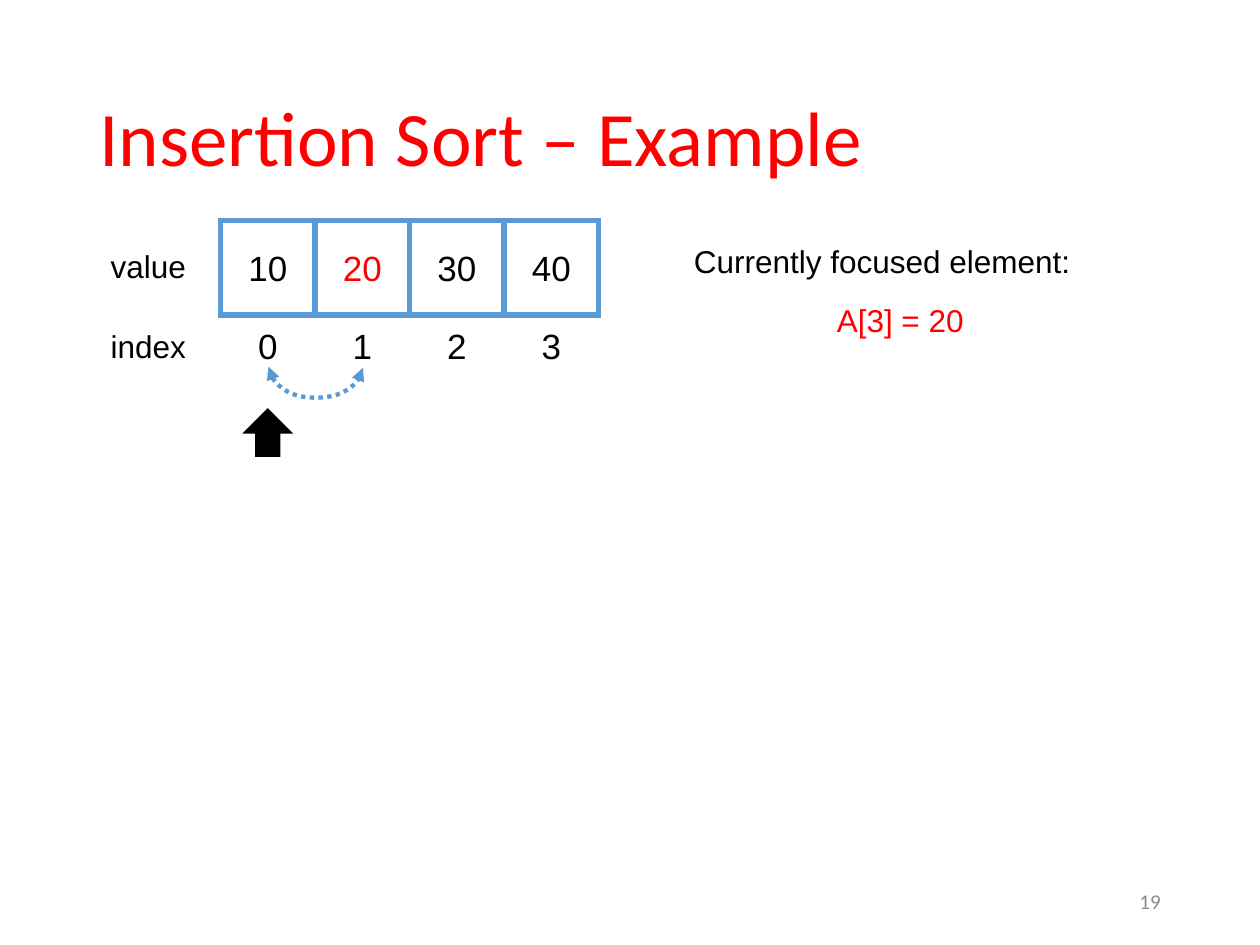
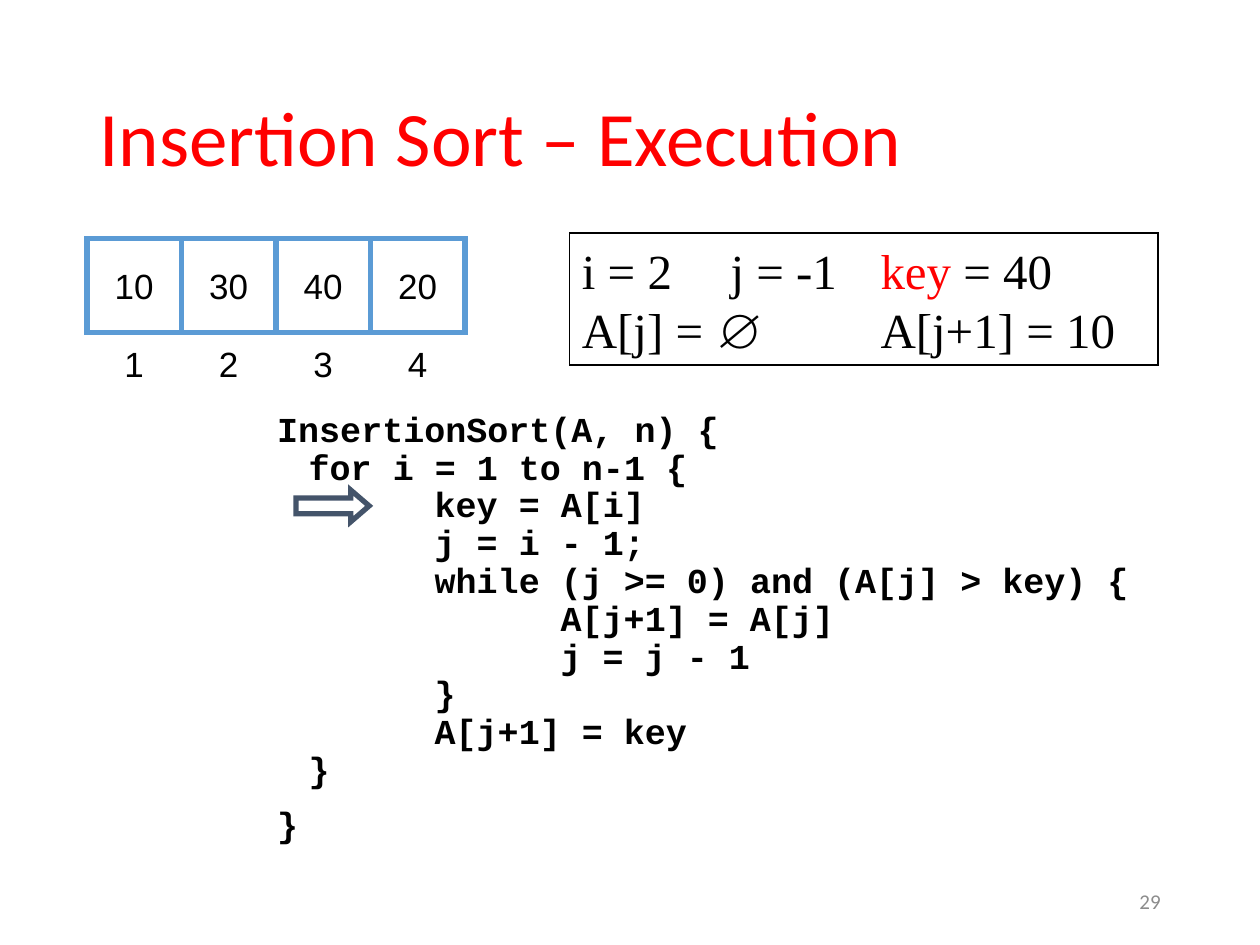
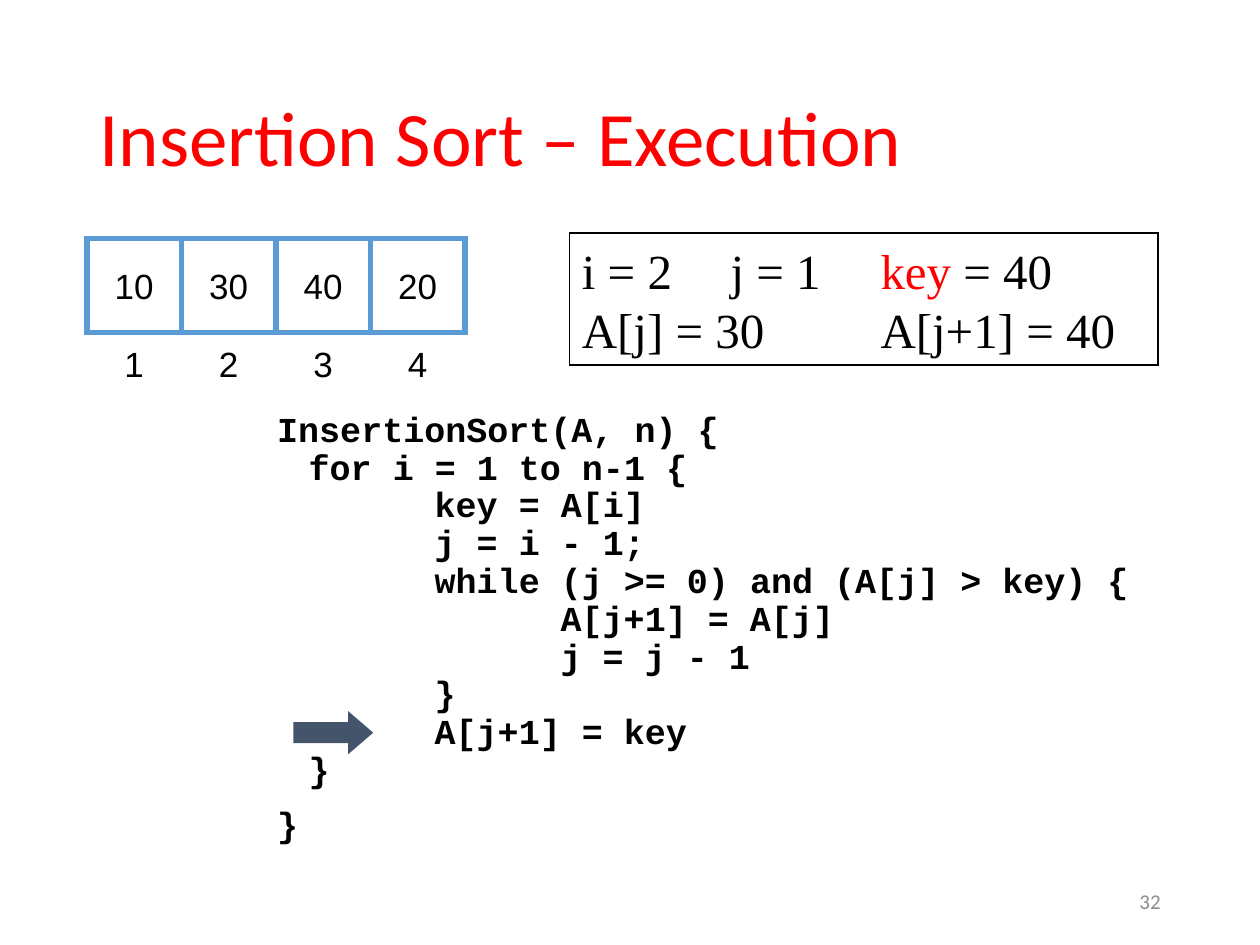
from lxml import etree
from pptx import Presentation
from pptx.dml.color import RGBColor
from pptx.enum.dml import MSO_LINE
from pptx.enum.shapes import MSO_CONNECTOR, MSO_SHAPE
from pptx.enum.text import MSO_ANCHOR, MSO_AUTO_SIZE, PP_ALIGN
from pptx.oxml.ns import qn
from pptx.util import Inches, Pt

BLACK = RGBColor(0x00, 0x00, 0x00)
WHITE = RGBColor(0xFF, 0xFF, 0xFF)
RED = RGBColor(0xFF, 0x00, 0x00)
BLUE = RGBColor(0x5B, 0x9B, 0xD5)
SLATE = RGBColor(0x44, 0x54, 0x6A)
GRAY = RGBColor(0x8C, 0x8C, 0x8C)
LEFT, MID, RIGHT = PP_ALIGN.LEFT, PP_ALIGN.CENTER, PP_ALIGN.RIGHT
MIDDLE, TOP = MSO_ANCHOR.MIDDLE, MSO_ANCHOR.TOP
RECT, UP, POINTER = MSO_SHAPE.RECTANGLE, MSO_SHAPE.UP_ARROW, MSO_SHAPE.RIGHT_ARROW
CELL = 0.75
TAB = str(Inches(1))

EXAMPLE = {
    "title": "Insertion Sort – Example",
    "page": "19",
    "values": ["10", "20", "30", "40"],
    "focus": 1,
    "notes": [
        ("index", (0.78, 2.55, 0.81, 0.4), LEFT, BLACK, False),
        ("value", (0.78, 1.91, 0.81, 0.4), LEFT, BLACK, False),
        ("Currently focused element:", (5.41, 1.87, 3.24, 0.4), LEFT, BLACK, True),
        ("A[3] = 20", (6.1, 2.34, 2.09, 0.4), MID, RED, True),
    ],
}
VALUES = ["10", "30", "40", "20"]
RUNS = [
    {"page": "29", "state": ("i = 2\tj = -1\t", "key", " = 40\nA[j] = ∅\tA[j+1] = 10"),
     "top": 3.89, "fill": None},
    {"page": "32", "state": ("i = 2\tj = 1\t", "key", " = 40\nA[j] = 30\tA[j+1] = 40"),
     "top": 5.69, "fill": SLATE},
]
CODE = [
    """InsertionSort(A, n) {
for i = 1 to n-1 {
\tkey = A[i]
\tj = i - 1;
\twhile (j >= 0) and (A[j] > key) {
\t\tA[j+1] = A[j]
\t\tj = j - 1
\t}
\tA[j+1] = key
}""",
    "}",
]


def place(shape, box):
    shape.left, shape.top, shape.width, shape.height = map(Inches, box)


def style(para, size, name, color=None, align=LEFT):
    para.alignment = align
    font = para.font
    font.size, font.name = Pt(size), name
    if color is not None:
        font.color.rgb = color


def set_tabs(para, stops):
    tabs = etree.SubElement(para._p.get_or_add_pPr(), qn("a:tabLst"))
    for stop in stops:
        etree.SubElement(tabs, qn("a:tab"), pos=str(Inches(stop)), algn="l")


def add_label(slide, box, text, size, name, color, align, wrap=True, anchor=TOP):
    frame = slide.shapes.add_textbox(*map(Inches, box)).text_frame
    frame.word_wrap, frame.vertical_anchor = wrap, anchor
    para = frame.paragraphs[0]
    para.text = text
    style(para, size, name, color, align)


def add_block(slide, kind, box, fill=None, line=None, width=1):
    shape = slide.shapes.add_shape(kind, *map(Inches, box))
    shape.shadow.inherit = False
    if fill is None:
        shape.fill.background()
    else:
        shape.fill.solid()
        shape.fill.fore_color.rgb = fill
    if line is None:
        shape.line.fill.background()
    else:
        shape.line.color.rgb = line
        shape.line.width = Pt(width)
        edge = shape._element.spPr.find(qn("a:ln"))
        etree.SubElement(edge, qn("a:miter"), lim="800000")
    return shape


def add_array(slide, left, top, values, first, focus=None):
    count = len(values)
    marks = [str(first + pos) for pos in range(count)]
    rows = [(values, top, CELL, BLUE), (marks, top + 0.83, 0.33, None)]
    for texts, y, height, line in rows:
        for pos, text in enumerate(texts):
            box = (left + pos * CELL, y, CELL, height)
            frame = add_block(slide, RECT, box, WHITE, line, 3).text_frame
            frame.word_wrap, frame.vertical_anchor = False, MIDDLE
            para = frame.paragraphs[0]
            para.text = text
            color = RED if texts is values and pos == focus else BLACK
            style(para, 20, "Arial", color, MID)


def add_swap(slide):
    ends = map(Inches, (2.5, 2.54, 2.51, 3.29))
    link = slide.shapes.add_connector(MSO_CONNECTOR.CURVE, *ends)
    link.line.color.rgb = BLUE
    link.line.width = Pt(2.5)
    link.line.dash_style = MSO_LINE.ROUND_DOT
    props = link._element.spPr
    frame = props.find(qn("a:xfrm"))
    frame.set("rot", "16200000")
    frame.set("flipH", "1")
    bends = props.find(qn("a:prstGeom")).get_or_add_avLst()
    etree.SubElement(bends, qn("a:gd"), name="adj1", fmla="val 2500000")
    line = props.find(qn("a:ln"))
    etree.SubElement(line, qn("a:miter"), lim="800000")
    for end in ("a:headEnd", "a:tailEnd"):
        etree.SubElement(line, qn(end), type="triangle")
    etree.SubElement(props, qn("a:effectLst"))


def add_code(body):
    place(body, (2.1, 3.22, 7.42, 3.67))
    frame = body.text_frame
    frame.auto_size, frame.vertical_anchor = MSO_AUTO_SIZE.NONE, TOP
    for pos, text in enumerate(CODE):
        para = frame.add_paragraph() if pos else frame.paragraphs[0]
        para.text = text
        props = para._p.get_or_add_pPr()
        props.set("marL", str(Inches(0.25)))
        props.set("indent", str(Inches(-0.25)))
        props.set("defTabSz", TAB)
        etree.SubElement(props, qn("a:buNone"))
        para.line_spacing = 0.9
        para.space_before = Pt(10 if pos else 0)
        style(para, 20, "Courier New", BLACK)
        para.font.bold = True


def add_state(slide, parts):
    frame = add_block(slide, RECT, (4.52, 1.85, 4.67, 1.05), WHITE, BLACK).text_frame
    frame.word_wrap, frame.vertical_anchor = True, MIDDLE
    para = frame.paragraphs[0]
    set_tabs(para, (1.18, 2.37))
    style(para, 28, "Times New Roman")
    for text, color in zip(parts, (BLACK, RED, BLACK)):
        for pos, line in enumerate(text.split("\n")):
            if pos:
                para.add_line_break()
            run = para.add_run()
            run.text = line
            run.font.color.rgb = color


def add_slide(deck, layout, title, page):
    slide = deck.slides.add_slide(deck.slide_layouts[layout])
    head = slide.shapes.title
    place(head, (0.69, 0.4, 8.62, 1.45))
    head.text_frame.vertical_anchor = MIDDLE
    para = head.text_frame.paragraphs[0]
    para.text = title
    para.line_spacing = 0.9
    style(para, 44, "Calibri", RED)
    add_label(slide, (7.06, 6.95, 2.25, 0.4), page, 12, "Calibri", GRAY, RIGHT,
              anchor=MIDDLE)
    return slide


def add_example(deck):
    slide = add_slide(deck, 5, EXAMPLE["title"], EXAMPLE["page"])
    add_array(slide, 1.75, 1.75, EXAMPLE["values"], 0, EXAMPLE["focus"])
    for text, box, align, color, wrap in EXAMPLE["notes"]:
        add_label(slide, box, text, 18, "Arial", color, align, wrap)
    add_block(slide, UP, (1.94, 3.25, 0.37, 0.37), BLACK, BLACK)
    add_swap(slide)


def add_run(deck, step):
    slide = add_slide(deck, 1, "Insertion Sort – Execution", step["page"])
    add_code(slide.placeholders[1])
    add_array(slide, 0.69, 1.89, VALUES, 1)
    add_state(slide, step["state"])
    arrow = add_block(slide, POINTER, (2.35, step["top"], 0.58, 0.25),
                      step["fill"], SLATE, 3)
    arrow.adjustments[1] = 0.58


def main():
    deck = Presentation()
    deck.slide_width, deck.slide_height = Inches(10), Inches(7.5)
    for root in (deck.slide_master.element, deck.element):
        for level in root.iter():
            if level.get("defTabSz"):
                level.set("defTabSz", TAB)
    add_example(deck)
    for step in RUNS:
        add_run(deck, step)
    deck.save("out.pptx")


if __name__ == "__main__":
    main()
